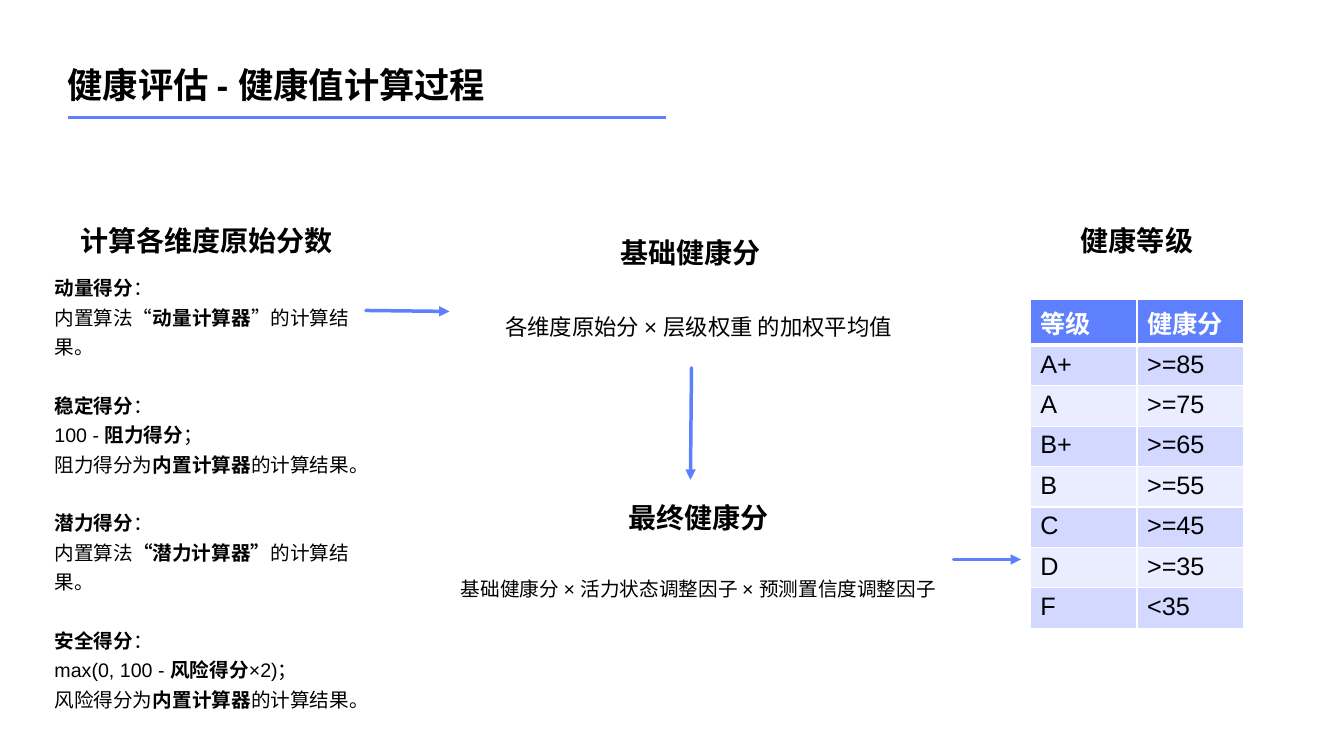
import pptx
import pptx.dml.color
import pptx.enum.lang
import pptx.enum.shapes
import pptx.enum.text
import pptx.oxml
import pptx.oxml.ns
import pptx.util
from lxml import etree

COLUMNS, ROWS = 40, 30
WIDTH, HEIGHT = pptx.util.Inches(13.33), pptx.util.Inches(7.5)
FONT, BLUE, BLACK, WHITE = "Arial", "5E80FE", "000000", "FFFFFF"
BANDS = ["D2D8FF", "EAEDFF"]
LEFT, CENTER = pptx.enum.text.PP_ALIGN.LEFT, pptx.enum.text.PP_ALIGN.CENTER

SCORES = [
    ["**动量得分**：", "内置算法“**动量计算器**”的计算结果。"],
    ["**稳定得分**：", "100 - **阻力得分**；", "阻力得分为**内置计算器**的计算结果。"],
    ["**潜力得分**：", "内置算法**“潜力计算器”**的计算结果。"],
    ["**安全得分**：", "max(0, 100 - **风险得分**×2)；", "风险得分为**内置计算器**的计算结果。"],
]
GRADES = [("等级", "健康分"), ("A+", ">=85"), ("A", ">=75"), ("B+", ">=65"),
          ("B", ">=55"), ("C", ">=45"), ("D", ">=35"), ("F", "<35")]


def color(code):
    """Turn a hex string into a colour."""
    return pptx.dml.color.RGBColor.from_string(code)


def across(columns):
    """Length of a number of grid columns."""
    return round(WIDTH * columns / COLUMNS)


def down(rows):
    """Length of a number of grid rows."""
    return round(HEIGHT * rows / ROWS)


def place(box):
    """Turn a box on the grid into left, top, width and height."""
    left, top, width, height = box
    return across(left), down(top), across(width), down(height)


def add_span(para, text, size, bold=False, ink=BLACK):
    """Append one run of styled text."""
    span = para.add_run()
    span.text = text
    span.font.name = FONT
    span.font.size = pptx.util.Pt(size)
    span.font.bold = bold
    span.font.color.rgb = color(ink)
    span.font.language_id = pptx.enum.lang.MSO_LANGUAGE_ID.SIMPLIFIED_CHINESE


def add_text(page, box, groups, size, align=CENTER, spacing=1.25):
    """Write groups of lines, with ** around bold words and a gap between groups."""
    frame = page.shapes.add_textbox(*place(box)).text_frame
    frame.word_wrap = True
    frame.margin_left = frame.margin_right = frame.margin_top = frame.margin_bottom = 0
    lines = [(line, index) for group in groups for index, line in enumerate(group)]
    for number, (line, index) in enumerate(lines):
        para = frame.add_paragraph() if number else frame.paragraphs[0]
        para.alignment = align
        para.line_spacing = spacing
        if number and index == 0:
            para.space_before = pptx.util.Pt(size * 1.5)
        for part, words in enumerate(line.split("**")):
            if words:
                add_span(para, words, size, part % 2 == 1)


def add_heading(page, box, words, size=20, align=CENTER):
    """Write one bold heading."""
    add_text(page, box, [[f"**{words}**"]], size, align, 1.11)


def add_line(page, start, end, width=2.5, arrow=True):
    """Draw a blue line between two grid points, with an arrowhead if wanted."""
    line = page.shapes.add_connector(
        pptx.enum.shapes.MSO_CONNECTOR.STRAIGHT,
        across(start[0]), down(start[1]), across(end[0]), down(end[1]))
    line.line.color.rgb = color(BLUE)
    line.line.width = pptx.util.Pt(width)
    properties = line._element.spPr
    if arrow:
        outline = line.line._get_or_add_ln()
        outline.set("cap", "rnd")
        etree.SubElement(outline, pptx.oxml.ns.qn("a:round"))
        etree.SubElement(outline, pptx.oxml.ns.qn("a:tailEnd")).set("type", "triangle")
    etree.SubElement(properties, pptx.oxml.ns.qn("a:effectLst"))


def add_border(cell, side, points):
    """Give one side of a cell a white border."""
    border = pptx.oxml.parse_xml(
        f'<a:{side} {pptx.oxml.ns.nsdecls("a")} w="{pptx.util.Pt(points)}">'
        f'<a:solidFill><a:srgbClr val="{WHITE}"/></a:solidFill></a:{side}>')
    cell._tc.get_or_add_tcPr().append(border)


def title_region(page, box):
    """Place the slide title and the rule under it."""
    left, top, width, height = box
    add_heading(page, (left, top, width * 0.75, height), "健康评估 - 健康值计算过程", 25.2, LEFT)
    rule = top + 2.36
    add_line(page, (left, rule), (left + width, rule), 2, False)


def scores_region(page, box):
    """Place the raw score heading and the four score rules."""
    left, top, width, height = box
    add_heading(page, (left, top, width, 2.16), "计算各维度原始分数")
    add_text(page, (left, top + 2, width, height - 2), SCORES, 14, LEFT)


def formula_region(page, box, heading, formula, size, shift=0):
    """Place a heading over its centred formula."""
    left, top, width, height = box
    add_heading(page, (left + shift, top, width, 2), heading)
    add_text(page, (left, top + 2.94, width, height - 2.94), [[formula]], size)


def grades_region(page, box):
    """Place the grade heading and the table of grades."""
    left, top, width, height = box
    add_heading(page, (left, top, width, 1.96), "健康等级")
    area = place((left, top + 3.16, width, height - 3.16))
    table = page.shapes.add_table(len(GRADES), 2, *area).table
    table.rows[0].height = down(1.82)
    for row, values in enumerate(GRADES):
        header = row == 0
        for column, value in enumerate(values):
            cell = table.cell(row, column)
            for side in ("lnL", "lnR", "lnT", "lnB"):
                thick = header and side == "lnB" or row == 1 and side == "lnT"
                add_border(cell, side, 3 if thick else 1)
            cell.fill.solid()
            cell.fill.fore_color.rgb = color(BLUE if header else BANDS[(row - 1) % 2])
            add_span(cell.text_frame.paragraphs[0], value, 18, header,
                     WHITE if header else BLACK)


def main():
    """Build the slide and save it."""
    deck = pptx.Presentation()
    deck.slide_width, deck.slide_height = WIDTH, HEIGHT
    page = deck.slides.add_slide(deck.slide_layouts[6])
    title_region(page, (2.01, 2.32, 17.8, 2.68))
    scores_region(page, (1.62, 8.72, 9.06, 17.68))
    formula_region(page, (14.58, 9.2, 12.42, 4.8), "基础健康分",
                   "各维度原始分 × 层级权重 的加权平均值", 16, -0.24)
    formula_region(page, (13.56, 19.72, 14.46, 5.28), "最终健康分",
                   "基础健康分 × 活力状态调整因子 × 预测置信度调整因子", 14)
    grades_region(page, (30.66, 8.72, 6.36, 16))
    add_line(page, (10.89, 12.32), (13.38, 12.36))
    add_line(page, (20.58, 14.6), (20.55, 19.04))
    add_line(page, (28.38, 22.2), (30.39, 22.2))
    deck.save("out.pptx")


if __name__ == "__main__":
    main()
